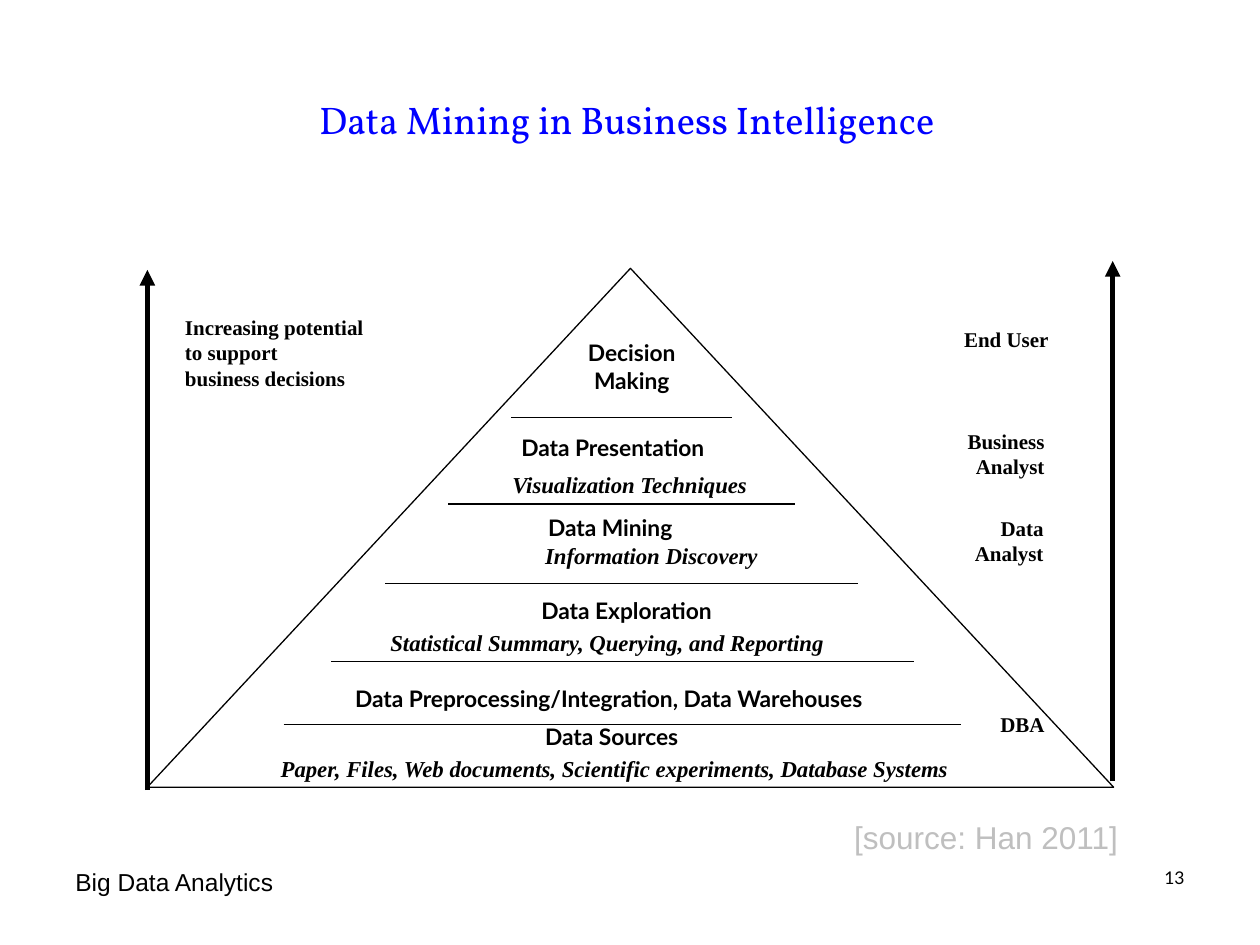
from lxml.etree import SubElement
from pptx import Presentation
from pptx.dml.color import RGBColor
from pptx.enum.shapes import MSO_CONNECTOR, MSO_SHAPE
from pptx.enum.text import MSO_ANCHOR, MSO_AUTO_SIZE, PP_ALIGN
from pptx.oxml.ns import qn
from pptx.util import Cm, Pt

THEME = {
    "black": RGBColor(0, 0, 0),
    "blue": RGBColor(0, 0, 255),
    "grey": RGBColor(191, 191, 191),
    "title_font": "Vollkorn",
    "level_font": "Lato",
    "serif": "Times New Roman",
    "sans": "Arial",
    "title_size": 22,
    "source_size": 18,
    "footer_size": 14,
    "level_size": 13,
    "label_size": 12,
    "number_size": 10,
    "thin": 0.75,
    "thick": 3,
}
LEFT, CENTER, RIGHT = PP_ALIGN.LEFT, PP_ALIGN.CENTER, PP_ALIGN.RIGHT

# All places are in centimetres.
TITLE = "Data Mining in Business Intelligence"
PYRAMID = (2.97, 5.41, 19.48, 10.46)
# left, right, height on the slide
DIVIDERS = [
    (5.72, 19.38, 14.61),
    (6.68, 18.42, 13.34),
    (7.77, 17.3, 11.76),
    (9.04, 16.03, 10.16),
    (10.31, 14.76, 8.41),
    (4.14, 21.59, 15.88),
]
# x, bottom, top
ARROWS = [(2.97, 15.93, 5.44), (22.43, 15.75, 5.26)]
# text, left, top, width, alignment
SIDE_LABELS = [
    ("Increasing potential\nto support\nbusiness decisions", 3.48, 6.22, 4.11, LEFT),
    ("End User", 19.18, 6.45, 2.21, RIGHT),
    ("Business\nAnalyst", 19.2, 8.51, 2.11, RIGHT),
    ("Data\nAnalyst", 19.38, 10.26, 1.91, RIGHT),
    ("DBA", 19.91, 14.22, 1.4, RIGHT),
]
# text, left, top, width, alignment, wrap
LEVELS = [
    ("Decision Making", 11.4, 6.71, 2.67, CENTER, True),
    ("Data Presentation", 10.26, 8.61, 4.67, LEFT, False),
    ("Data Mining", 10.8, 10.24, 3.71, LEFT, True),
    ("Data Exploration", 10.19, 11.91, 4.88, CENTER, True),
    ("Data Preprocessing/Integration, Data Warehouses", 6.91, 13.67, 12.04, LEFT, False),
    ("Data Sources", 10.74, 14.45, 3.48, LEFT, False),
]
DETAILS = [
    ("Visualization Techniques", 10.08, 9.37, 5.28, LEFT, False),
    ("Information Discovery", 10.74, 10.8, 4.78, LEFT, False),
    ("Statistical Summary, Querying, and Reporting", 7.62, 12.55, 9.53, LEFT, True),
    ("Paper, Files, Web documents, Scientific experiments, Database Systems",
     5.41, 15.09, 14.83, LEFT, True),
]


def write(frame, text, *, font, size, color=THEME["black"], bold=False,
          italic=False, align=LEFT, wrap=True):
    frame.word_wrap = wrap
    for index, line in enumerate(text.split("\n")):
        para = frame.paragraphs[0] if index == 0 else frame.add_paragraph()
        para.alignment = align
        span = para.add_run()
        span.text = line
        span.font.name = font
        span.font.size = Pt(size)
        span.font.color.rgb = color
        span.font.bold = bold
        span.font.italic = italic


def add_label(page, text, left, top, width, height, *, grow=True, **style):
    box = page.shapes.add_textbox(Cm(left), Cm(top), Cm(width), Cm(height))
    write(box.text_frame, text, **style)
    box.text_frame.auto_size = MSO_AUTO_SIZE.SHAPE_TO_FIT_TEXT if grow else MSO_AUTO_SIZE.NONE


def add_line(page, start, end, weight, arrow=False):
    line = page.shapes.add_connector(
        MSO_CONNECTOR.STRAIGHT, *(Cm(value) for value in (*start, *end)))
    line.line.color.rgb = THEME["black"]
    line.line.width = Pt(weight)
    if arrow:
        SubElement(line.line._get_or_add_ln(), qn("a:tailEnd"), type="triangle")
    SubElement(line._element.spPr, qn("a:effectLst"))


def add_title(page):
    title = page.shapes.title
    title.left, title.top, title.width, title.height = Cm(3.58), Cm(1.85), Cm(18.11), Cm(1.12)
    frame = title.text_frame
    frame.vertical_anchor = MSO_ANCHOR.MIDDLE
    frame.margin_left = frame.margin_right = Cm(0.2)
    frame.margin_top = frame.margin_bottom = Cm(0.1)
    write(frame, TITLE, font=THEME["title_font"], size=THEME["title_size"],
          color=THEME["blue"], align=CENTER)
    frame.auto_size = MSO_AUTO_SIZE.NONE


def add_pyramid(page):
    pyramid = page.shapes.add_shape(
        MSO_SHAPE.FLOWCHART_EXTRACT, *(Cm(value) for value in PYRAMID))
    pyramid.shadow.inherit = False
    pyramid.fill.background()
    pyramid.line.color.rgb = THEME["black"]
    pyramid.line.width = Pt(THEME["thin"])
    for left, right, y in DIVIDERS:
        add_line(page, (left, y), (right, y), THEME["thin"])
    for x, bottom, top in ARROWS:
        add_line(page, (x, bottom), (x, top), THEME["thick"], arrow=True)


def add_texts(page):
    for text, left, top, width, align in SIDE_LABELS:
        height = 0.25 + 0.51 * len(text.split("\n"))
        add_label(page, text, left, top, width, height, font=THEME["serif"],
                  size=THEME["label_size"], bold=True, align=align, wrap=False)
    for rows, font, italic in ((LEVELS, THEME["level_font"], False),
                               (DETAILS, THEME["serif"], True)):
        for text, left, top, width, align, wrap in rows:
            add_label(page, text, left, top, width, 0.81, font=font,
                      size=THEME["level_size"], bold=True, italic=italic,
                      align=align, wrap=wrap)
    add_label(page, "[source: Han 2011]", 16.97, 16.36, 6.93, 1.02,
              font=THEME["sans"], size=THEME["source_size"], color=THEME["grey"])
    add_label(page, "Big Data Analytics", 1.27, 17.35, 5.92, 1.32, grow=False,
              font=THEME["sans"], size=THEME["footer_size"])
    add_label(page, "13", 18.21, 17.35, 5.92, 1.32, grow=False,
              font=THEME["level_font"], size=THEME["number_size"], align=RIGHT)


def main():
    deck = Presentation()
    deck.slide_width, deck.slide_height = Cm(25.4), Cm(19.05)
    page = deck.slides.add_slide(deck.slide_layouts[5])
    add_title(page)
    add_pyramid(page)
    add_texts(page)
    deck.save("out.pptx")


if __name__ == "__main__":
    main()
